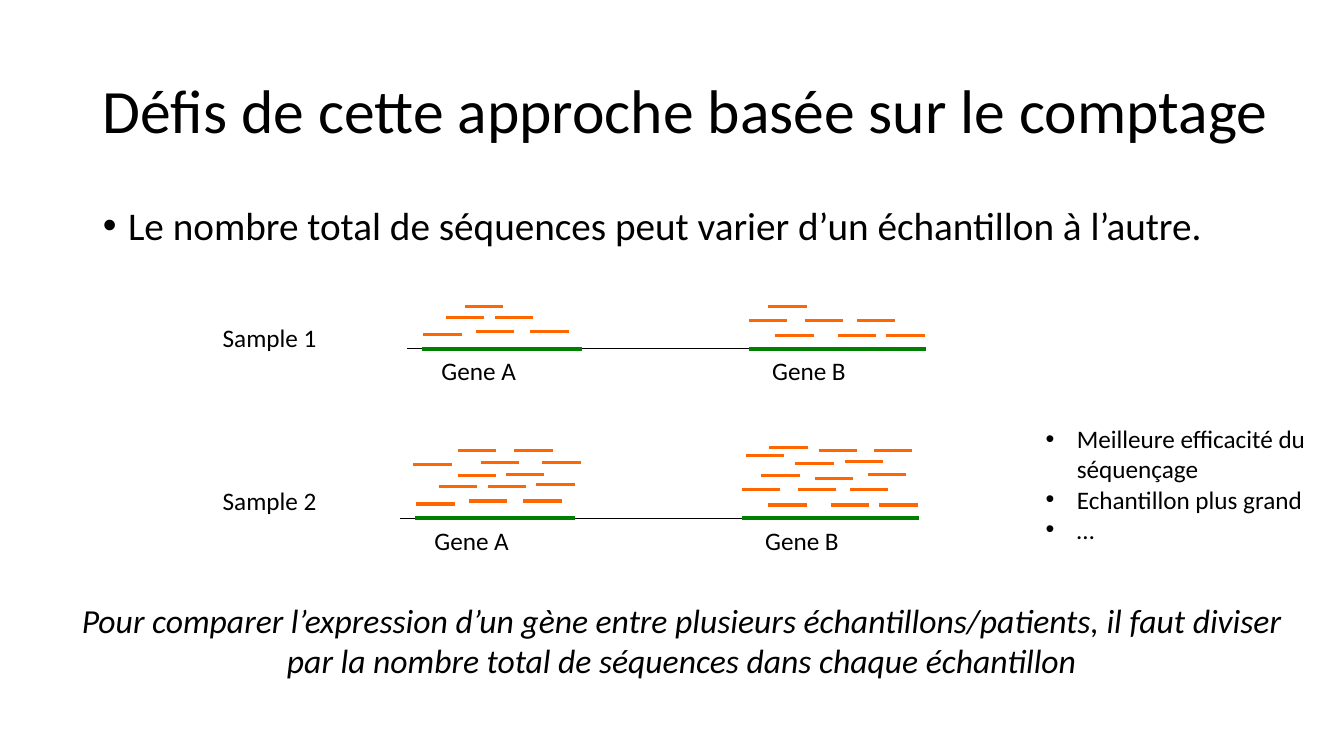
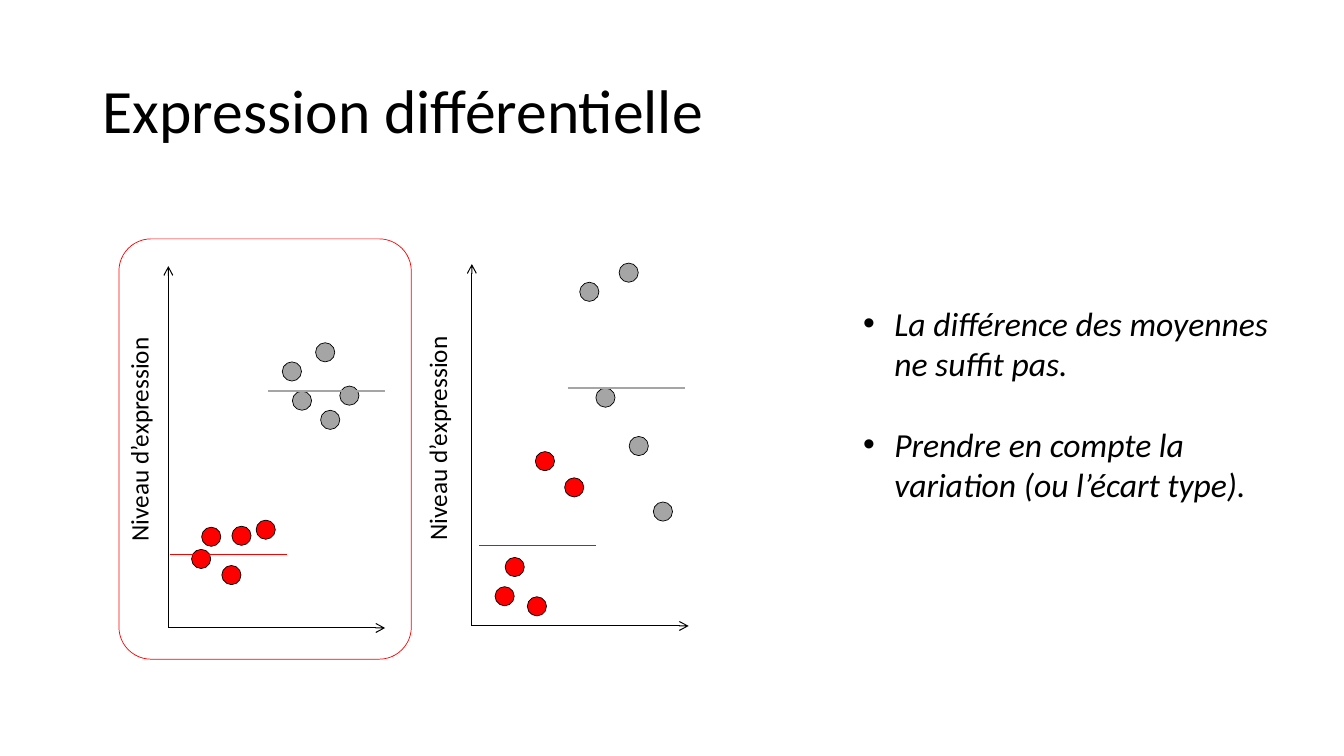
import lxml.etree
import pptx
import pptx.dml.color
import pptx.enum.shapes
import pptx.enum.text
import pptx.oxml.ns
import pptx.util

Inches = pptx.util.Inches
Pt = pptx.util.Pt
RGBColor = pptx.dml.color.RGBColor
Align = pptx.enum.text.PP_ALIGN
Anchor = pptx.enum.text.MSO_ANCHOR
Shape = pptx.enum.shapes.MSO_SHAPE
qn = pptx.oxml.ns.qn

BLACK = RGBColor(0x00, 0x00, 0x00)
ORANGE = RGBColor(0xFF, 0x66, 0x00)
GREEN = RGBColor(0x00, 0x80, 0x00)
RED = RGBColor(0xFF, 0x00, 0x00)
GREY = RGBColor(0xA5, 0xA5, 0xA5)

READ = 0.38
DOT = 0.19
MEAN = 1.16

# Left end and height of each read, as placed in sample 1
READS = [
    (4.2, 3.32), (4.72, 3.29), (5.26, 3.29), (4.42, 3.15), (4.91, 3.15),
    (4.61, 3.04), (7.69, 3.33), (8.31, 3.33), (8.79, 3.33), (7.43, 3.18),
    (7.98, 3.18), (8.5, 3.18), (7.62, 3.04),
]
# Further reads that only sample 2 has
MORE = [
    (5.32, 4.81), (5.02, 4.71), (4.1, 4.61), (4.77, 4.59), (5.38, 4.59),
    (4.54, 4.47), (5.1, 4.47), (7.89, 4.6), (8.61, 4.71), (8.38, 4.58),
    (7.4, 4.52), (8.08, 4.75), (8.67, 4.47), (8.12, 4.47), (7.63, 4.44),
]
# Axis origin, then for each group: colour, mean line start, dots
PLOTS = [
    ((1.67, 6.23), [
        (RED, (1.69, 5.5), [(1.9, 5.45), (2, 5.23), (2.2, 5.61),
                            (2.3, 5.22), (2.54, 5.16)]),
        (GREY, (2.66, 3.88), [(2.8, 3.59), (2.9, 3.88), (3.13, 3.4),
                              (3.18, 4.07), (3.37, 3.83)]),
    ]),
    ((4.68, 6.21), [
        (RED, (4.75, 5.41), [(4.91, 5.82), (5.01, 5.53), (5.23, 5.92),
                             (5.31, 4.48), (5.6, 4.74)]),
        (GREY, (5.63, 3.85), [(5.75, 2.8), (5.91, 3.85), (6.14, 2.61),
                              (6.24, 4.33), (6.48, 4.98)]),
    ]),
]


def apply(item, form):
    for name, value in form.items():
        setattr(item, name, value)


class Deck:
    """Holds the shared style and the slide being drawn."""

    font = {"name": "Calibri", "bold": False}
    tight = {"line_spacing": 0.9, "space_before": Pt(10)}
    plain = {"line_spacing": 1.0, "space_before": Pt(0)}

    def __init__(self):
        self.show = pptx.Presentation()
        apply(self.show, {"slide_width": Inches(13.33),
                          "slide_height": Inches(7.5)})

    def start(self, layout, title, width):
        self.slide = self.show.slides.add_slide(
            self.show.slide_layouts[layout])
        head = self.slide.shapes.title
        self.place(head, (0.92, 0.4, width, 1.45))
        self.letter(head, [title], 44,
                    {"line_spacing": 0.9, "alignment": Align.LEFT})
        head.text_frame.vertical_anchor = Anchor.MIDDLE

    def place(self, item, box):
        names = ("left", "top", "width", "height")
        apply(item, dict(zip(names, map(Inches, box))))

    def letter(self, item, lines, size, form, italic=False):
        """Set the lines as formatted paragraphs of the item."""
        frame = item.text_frame
        apply(frame, {"word_wrap": True,
                      "auto_size": pptx.enum.text.MSO_AUTO_SIZE.NONE})
        for i, line in enumerate(lines):
            para = frame.add_paragraph() if i else frame.paragraphs[0]
            apply(para, form)
            run = para.add_run()
            run.text = line
            apply(run.font, {**self.font, "size": Pt(size), "italic": italic})
            run.font.color.rgb = BLACK

    def text(self, text, box, size=18, align=Align.LEFT, italic=False, turn=0):
        item = self.slide.shapes.add_textbox(*map(Inches, box))
        item.rotation = turn
        self.letter(item, [text], size, {"alignment": align}, italic)

    def bullets(self, slot, lines, box, size, indent, form, italic=False):
        item = self.slide.placeholders[slot]
        self.place(item, box)
        self.letter(item, lines, size, form, italic)
        for para in item.text_frame.paragraphs:
            props = para._p.get_or_add_pPr()
            props.set("marL", str(Inches(indent)))
            props.set("indent", str(-Inches(indent)))
            lxml.etree.SubElement(props, qn("a:buFont"), typeface="Arial")
            lxml.etree.SubElement(props, qn("a:buChar"), char="•")

    def line(self, x, y, across, down, color, width, arrow=False):
        item = self.slide.shapes.add_connector(
            pptx.enum.shapes.MSO_CONNECTOR.STRAIGHT,
            *map(Inches, (x, y, x + across, y + down)))
        item.line.color.rgb = color
        item.line.width = Pt(width)
        if arrow:
            lxml.etree.SubElement(item.line._get_or_add_ln(),
                                  qn("a:tailEnd"), type="arrow")
        lxml.etree.SubElement(item._element.spPr, qn("a:effectLst"))

    def shape(self, kind, box, edge, fill=None):
        item = self.slide.shapes.add_shape(kind, *map(Inches, box))
        item.shadow.inherit = False
        item.line.color.rgb = edge
        item.line.width = Pt(0.5)
        if fill is None:
            item.fill.background()
        else:
            item.fill.solid()
            item.fill.fore_color.rgb = fill
        return item

    def sample(self, name, top, dx, dy, extra):
        """Draw one sample: genome, reads, genes and labels, moved by dx, dy."""
        base = 3.46 + dy
        self.line(4.04 + dx, base, 5.13, 0, BLACK, 0.75)
        for x, y in [(x + dx, y + dy) for x, y in READS] + extra:
            self.line(x, y, READ, 0, ORANGE, 2.25)
        for gene, x, width, left in (("Gene A", 4.19, 1.58, 4.28),
                                     ("Gene B", 7.43, 1.75, 7.56)):
            self.line(x + dx, base, width, 0, GREEN, 3)
            self.text(gene, (left + dx, base + 0.02, 1.92, 0.53))
        self.text(name, (2.11, top, 1.65, 0.53))

    def plot(self, origin, groups):
        """Draw one dot plot: its axes, dots and mean lines."""
        x, y = origin
        self.line(x, y, 0, -3.59, BLACK, 0.75, arrow=True)
        self.line(x, y, 2.15, 0, BLACK, 0.75, arrow=True)
        for color, mean, dots in groups:
            for dot in dots:
                self.shape(Shape.OVAL, (*dot, DOT, DOT), BLACK, color)
            self.line(*mean, MEAN, 0, color, 1)


def count(deck):
    deck.start(3, "Défis de cette approche basée sur le comptage", 11.9)
    deck.bullets(
        1, ["Le nombre total de séquences peut varier d’un échantillon à l’autre."],
        (0.92, 2, 11.5, 0.74), 28, 0.25, deck.tight)
    deck.bullets(
        2, ["Meilleure efficacité du séquençage", "Echantillon plus grand", "…"],
        (10.27, 4.15, 2.81, 1.31), 18, 0.31, deck.plain)
    deck.sample("Sample 1", 3.15, 0, 0, [])
    deck.sample("Sample 2", 4.77, -0.07, 1.68, MORE)
    deck.text("Pour comparer l’expression d’un gène entre plusieurs "
              "échantillons/patients, il faut diviser par la nombre total de "
              "séquences dans chaque échantillon",
              (0.54, 5.9, 12.44, 0.91), 24, Align.CENTER, italic=True)


def compare(deck):
    deck.start(1, "Expression différentielle", 11.5)
    deck.bullets(
        1, ["La différence des moyennes ne suffit pas.",
            "Prendre en compte la variation (ou l’écart type)."],
        (8.46, 2.95, 4.39, 2.52), 24, 0.31,
        {**deck.plain, "space_after": Pt(29)}, italic=True)
    for origin, groups in PLOTS:
        deck.plot(origin, groups)
    frame = deck.shape(Shape.ROUNDED_RECTANGLE, (1.18, 2.37, 2.9, 4.17), RED)
    frame.adjustments[0] = 0.11
    for left, top in ((0.19, 4.16), (3.15, 4.15)):
        deck.text("Niveau d’expression", (left, top, 2.37, 0.4),
                  align=Align.CENTER, turn=270)


def main():
    deck = Deck()
    count(deck)
    compare(deck)
    deck.show.save("out.pptx")


if __name__ == "__main__":
    main()
